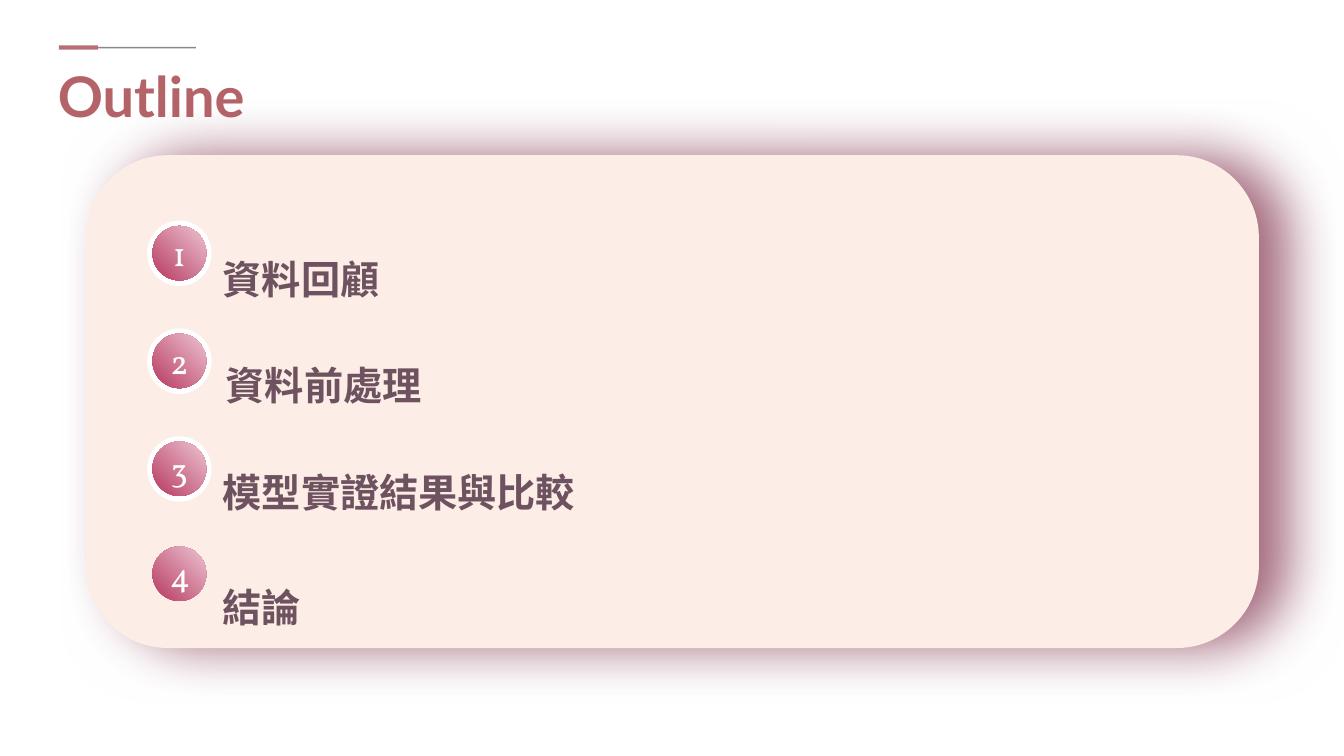
from pptx import Presentation
from pptx import util as u
from pptx.dml import color
from pptx.enum import shapes, text
from pptx.oxml import ns, xmlchemy

ROSE, PLUM, WHITE = "B46469", "6E5260", "FFFFFF"


def rgb(value):
    return color.RGBColor.from_string(value)


def add_child(parent, tag, **attributes):
    child = xmlchemy.OxmlElement(tag)
    for name, value in attributes.items():
        child.set(name, str(value))
    parent.append(child)
    return child


class Outline:
    """Draws the elements of an outline page in one style."""

    def __init__(self, page):
        self.page = page
        self.heading_font = "Lato"
        self.body_font = "Vollkorn"

    def rule(self, left, right, y, line_color, weight):
        line = self.page.shapes.add_connector(
            shapes.MSO_CONNECTOR.STRAIGHT, u.Pt(left), u.Pt(y), u.Pt(right), u.Pt(y))
        line.line.color.rgb = rgb(line_color)
        line.line.width = u.Pt(weight)
        tint = line._element.spPr.find(".//" + ns.qn("a:srgbClr"))
        add_child(tint, "a:alpha", val=92000)
        add_child(line._element.spPr, "a:effectLst")

    def shape(self, kind, left, top, width, height, fill=WHITE):
        shape = self.page.shapes.add_shape(
            kind, u.Pt(left), u.Pt(top), u.Pt(width), u.Pt(height))
        shape.shadow.inherit = False
        shape.fill.solid()
        shape.fill.fore_color.rgb = rgb(fill)
        shape.line.fill.background()
        return shape

    def panel(self, left, top, width, height, fill, glow):
        panel = self.shape(shapes.MSO_SHAPE.ROUNDED_RECTANGLE, left, top, width, height, fill)
        effects = panel._element.spPr.find(ns.qn("a:effectLst"))
        shadow = add_child(effects, "a:outerShdw", blurRad=u.Pt(40), dist=u.Pt(22),
                           dir=0, algn="ctr", rotWithShape=0)
        tint = add_child(shadow, "a:srgbClr", val=glow)
        add_child(tint, "a:alpha", val=70000)

    def add_span(self, para, words, size, font, font_color, bold=False):
        span = para.add_run()
        span.text = words
        span.font.size = u.Pt(size)
        span.font.name = font
        span.font.bold = bold
        span.font.color.rgb = rgb(font_color)

    def text_box(self, left, top, width, height):
        box = self.page.shapes.add_textbox(u.Pt(left), u.Pt(top), u.Pt(width), u.Pt(height))
        box.text_frame.word_wrap = True
        return box.text_frame

    def title(self, words, left, top, width, height):
        frame = self.text_box(left, top, width, height)
        self.add_span(frame.paragraphs[0], words, 40, self.heading_font, ROSE, True)

    def badge(self, number, left, top, rimmed):
        oval = shapes.MSO_SHAPE.OVAL
        if rimmed:
            self.shape(oval, left - 3.8, top - 3.8, 46.1, 46.8)
        disc = self.shape(oval, left, top, 38.4, 38.9)
        disc.fill.gradient()
        disc.fill.gradient_angle = 45
        for stop, shade in zip(disc.fill.gradient_stops, ("B73961", "EDC5D2")):
            stop.color.rgb = rgb(shade)
        frame = disc.text_frame
        frame.vertical_anchor = text.MSO_ANCHOR.MIDDLE
        para = frame.paragraphs[0]
        para.alignment = text.PP_ALIGN.CENTER
        self.add_span(para, str(number), 24, self.body_font, WHITE)

    def topic(self, words, left, top, width):
        frame = self.text_box(left, top, width, 108)
        frame.margin_left = frame.margin_top = frame.margin_bottom = 0
        para = frame.paragraphs[0]
        para.line_spacing = 3.19
        self.add_span(para, words, 28, self.body_font, PLUM, True)


def main():
    deck = Presentation()
    deck.slide_width, deck.slide_height = u.Pt(960), u.Pt(540)
    outline = Outline(deck.slides.add_slide(deck.slide_layouts[6]))

    outline.title("Outline", 34.2, 40.3, 414, 55.4)
    outline.rule(70, 140, 34, "808080", 1)
    outline.rule(42, 70, 34, ROSE, 3)
    outline.panel(61.2, 110.9, 838, 352, "FCEDE6", "7A2641")

    topics = [
        ("資料回顧", 159.2, 108.7, 433, 161.4),
        ("資料前處理", 161.3, 184.5, 637, 238.4),
        ("模型實證結果與比較", 159.2, 260.9, 637, 315.4),
        ("結論", 159.2, 343.4, 637, 390.4),
    ]
    for number, (words, left, top, width, badge_top) in enumerate(topics, 1):
        outline.badge(number, 108.9, badge_top, number < len(topics))
        outline.topic(words, left, top, width)

    deck.save("out.pptx")


if __name__ == "__main__":
    main()
